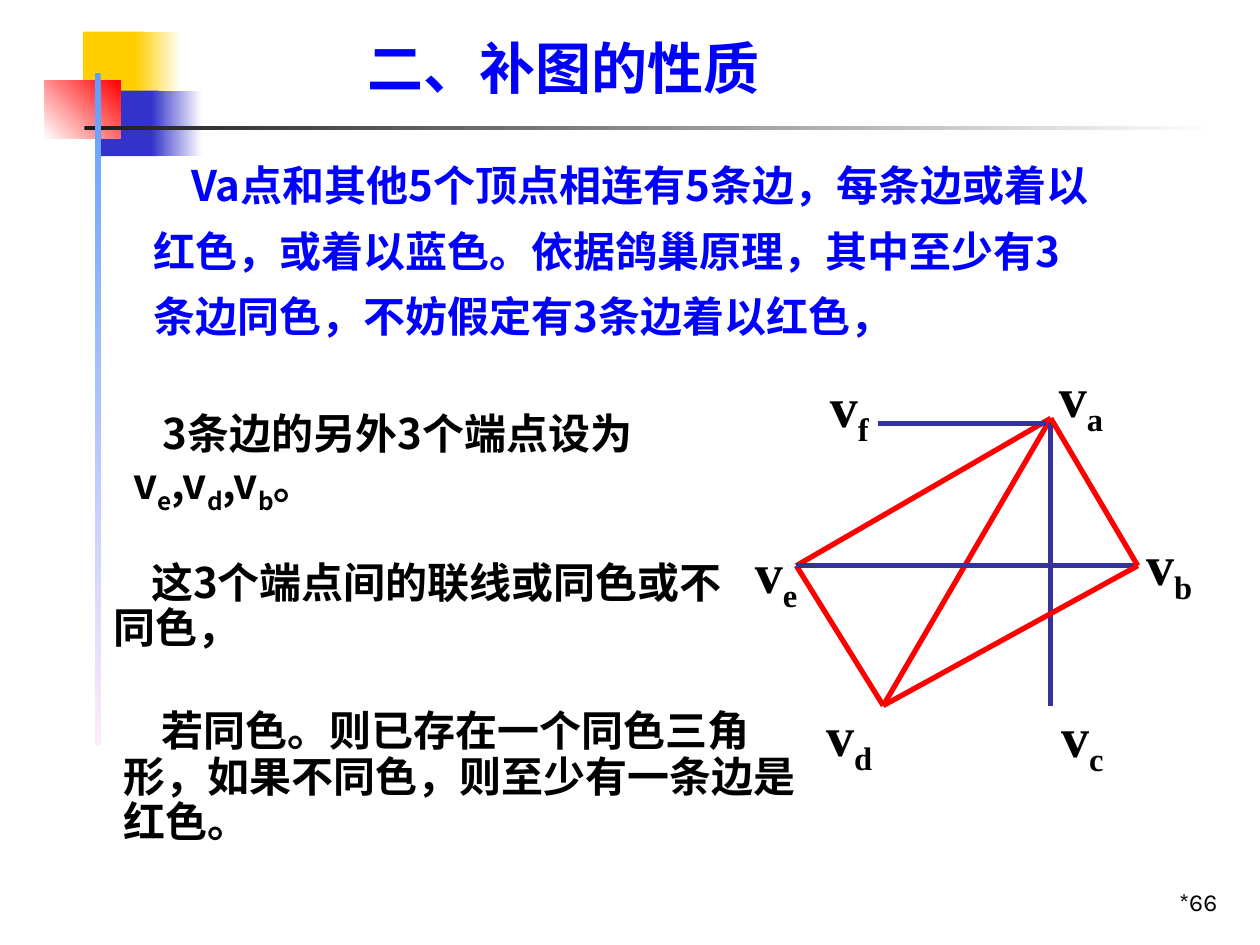
from lxml import etree
from pptx import Presentation
from pptx.dml.color import RGBColor
from pptx.enum.shapes import MSO_CONNECTOR, MSO_SHAPE
from pptx.enum.text import MSO_ANCHOR, PP_ALIGN
from pptx.oxml.ns import qn
from pptx.util import Inches, Pt

RECT = MSO_SHAPE.RECTANGLE
LINE = MSO_CONNECTOR.STRAIGHT
TOP, MID, LOW = MSO_ANCHOR.TOP, MSO_ANCHOR.MIDDLE, MSO_ANCHOR.BOTTOM
LEFT, MIDST, RIGHT = PP_ALIGN.LEFT, PP_ALIGN.CENTER, PP_ALIGN.RIGHT

COLS, ROWS = 100, 75
UNIT = Inches(0.1)
HAN, SERIF, SANS = "Noto Sans CJK SC", "Times New Roman", "Karla"

HUES = {
    "white": "FFFFFF", "black": "000000", "gold": "FFCF01",
    "navy": "3333CC", "red": "FF0000", "ink": "1C1C1C",
    "sky": "5E9EFF", "pink": "FFEBFA", "blue": "0000FF",
    "edge": "333399",
}

DECOR = [
    ((6.6, 2.5, 4.8, 5.2), ["gold"], 0),
    ((10.8, 2.5, 3.6, 5.2), ["gold", "white"], 0),
    ((8, 7.2, 4.6, 5.2), ["navy"], 0),
    ((12, 7.2, 4, 5.2), ["navy", "white"], 0),
    ((3.5, 6.4, 6.1, 4.6), ["white", "red"], 45),
    ((6.7, 10, 90, 0.3), ["ink", "white"], 0),
    ((7.5, 5.8, 0.5, 53.3), ["sky", "pink"], 270),
]

TITLE = "二、补图的性质"
BODY = [
    ((12.2, 11.5, 75.1, 15.6), 3, 1.3, "blue",
     ["Va点和其他5个顶点相连有5条边，每条边或着以红色，或着以蓝色。"
      "依据鸽巢原理，其中至少有3条边同色，不妨假定有3条边着以红色，"]),
    ((10.6, 32.8, 42.9, 7.7), 2.3, 0.9, "black",
     ["3条边的另外3个端点设为v", "e", ",v", "d", ",v", "b", "。"]),
    ((9, 44.6, 49.6, 7.2), 3, 0.9, "black",
     ["这3个端点间的联线或同色或不同色，"]),
    ((9.8, 56.4, 54.3, 10.8), 3, 0.9, "black",
     ["若同色。则已存在一个同色三角形，如果不同色，则至少有一条边是红色。"]),
]

NODES = {
    "a": (83.4, 33.2), "b": (90.3, 44.9), "c": (83.4, 56),
    "d": (70.1, 56), "e": (63.2, 44.9), "f": (69.7, 33.6),
    "g": (83, 33.6),
}
EDGES = [
    ("ad", "red"), ("ac", "edge"), ("ae", "red"), ("fg", "edge"),
    ("ed", "red"), ("eb", "edge"), ("ab", "red"), ("bd", "red"),
]
TAGS = {
    "a": (85.8, 31.7), "b": (92.8, 45.1), "c": (85.9, 58.7),
    "d": (67.4, 58.6), "e": (61.6, 45.7), "f": (67.4, 32.5),
}
WIDE, HIGH = 6, 5


def tint(name):
    return RGBColor.from_string(HUES[name])


def grid(nums):
    return [round(num * UNIT) for num in nums]


def block(slide, box, hues, turn):
    shape = slide.shapes.add_shape(RECT, *grid(box))
    shape.shadow.inherit = False
    shape.line.fill.background()
    fill = shape.fill
    if len(hues) == 1:
        fill.solid()
        fill.fore_color.rgb = tint(hues[0])
        return
    fill.gradient()
    fill.gradient_angle = turn
    for stop, hue in zip(fill.gradient_stops, hues):
        stop.color.rgb = tint(hue)


def write(slide, box, parts, size, face, hue, bold=True, align=LEFT,
          anchor=TOP, wrap=True, pad=(0, 0), gap=1, dent=0):
    frame = slide.shapes.add_textbox(*grid(box)).text_frame
    frame.word_wrap = wrap
    frame.vertical_anchor = anchor
    frame.margin_left = frame.margin_right = Inches(pad[0])
    frame.margin_top = frame.margin_bottom = Inches(pad[1])
    para = frame.paragraphs[0]
    para.alignment = align
    para.line_spacing = gap
    style = para._p.get_or_add_pPr()
    style.set("hangingPunct", "0")
    style.set("indent", str(round(dent * UNIT)))
    for pos, part in enumerate(parts):
        run = para.add_run()
        run.text = part
        font = run.font
        font.size, font.bold, font.name = Pt(size), bold, face
        font.color.rgb = tint(hue)
        props = run._r.get_or_add_rPr()
        etree.SubElement(props, qn("a:ea")).set("typeface", HAN)
        if pos % 2:
            props.set("baseline", "-25000")


def join(slide, ends, hue):
    start, stop = (grid(NODES[key]) for key in ends)
    line = slide.shapes.add_connector(LINE, *start, *stop)
    line.line.color.rgb = tint(hue)
    line.line.width = Pt(3)
    etree.SubElement(line._element.spPr, qn("a:effectLst"))


def main():
    deck = Presentation()
    deck.slide_width, deck.slide_height = grid((COLS, ROWS))
    slide = deck.slides.add_slide(deck.slide_layouts[6])
    for item in DECOR:
        block(slide, *item)
    write(slide, (76.8, 68.2, 20.8, 5), ["*66"], 14, SANS, "black",
          bold=False, align=RIGHT, anchor=LOW, pad=(0.1, 0.05))
    for key, (x, y) in TAGS.items():
        box = (x - WIDE / 2, y - HIGH / 2, WIDE, HIGH)
        write(slide, box, ["v", key], 32, SERIF, "black", align=MIDST,
              anchor=MID, wrap=False)
    for edge in EDGES:
        join(slide, *edge)
    for box, dent, gap, hue, parts in BODY:
        write(slide, box, parts, 24, HAN, hue, gap=gap, dent=dent)
    write(slide, (29.2, 3.3, 46, 4.8), [TITLE], 32, SERIF, "blue", gap=0.9)
    deck.save("out.pptx")


if __name__ == "__main__":
    main()
